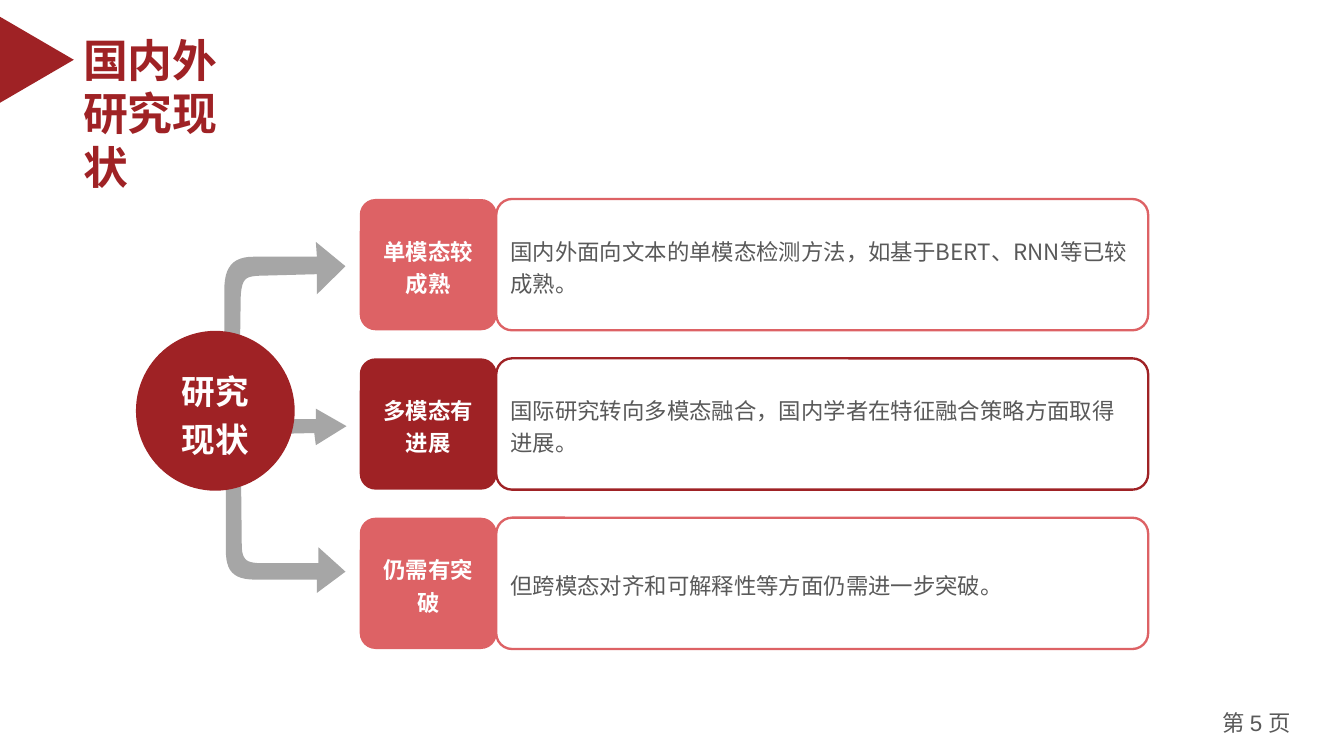
"""Build the slide on the state of research at home and abroad."""
from dataclasses import dataclass

from lxml import etree
from pptx import Presentation
from pptx import util as u
from pptx.dml.color import RGBColor
from pptx.enum import shapes, text
from pptx.oxml.ns import qn


@dataclass(frozen=True)
class Theme:
    """Colours, fonts and type sizes."""
    dark: str = "9F2225"
    light: str = "DD6265"
    gray: str = "A6A6A6"
    ink: str = "595959"
    white: str = "FFFFFF"
    latin: str = "Arial"
    hans: str = "Noto Sans CJK SC"
    head: int = 24
    hub: int = 18
    body: int = 12


T = Theme()
KIND = shapes.MSO_SHAPE
ALIGN = text.PP_ALIGN

CARDS = [
    ("单模态较成熟", "国内外面向文本的单模态检测方法，如基于BERT、RNN等已较成熟。", T.light),
    ("多模态有进展", "国际研究转向多模态融合，国内学者在特征融合策略方面取得进展。", T.dark),
    ("仍需有突破", "但跨模态对齐和可解释性等方面仍需进一步突破。", T.light),
]

ARROWS = [
    [(4.55, 8.41), (4.57, 10.29), (4.57, 10.62, 4.7, 10.62, 4.9, 10.64),
     (6.02, 10.64), (6.02, 10.34), (6.53, 10.8), (5.99, 11.2), (5.99, 10.95),
     (4.83, 10.95), (4.39, 10.95, 4.27, 10.77, 4.27, 10.39), (4.27, 8.36),
     (4.29, 8.03, 4.47, 8.05, 4.55, 8.41)],
    [(3.84, 8.23), (5.94, 8.18), (5.97, 8.41), (6.55, 8.05), (5.97, 7.72),
     (5.97, 7.92), (3.84, 7.92)],
    [(4.52, 7.8), (4.55, 5.61), (4.57, 5.23, 4.67, 5.23, 4.88, 5.21),
     (5.99, 5.18), (5.99, 5.56), (6.53, 5.03), (5.97, 4.57), (5.99, 4.85),
     (4.8, 4.85), (4.39, 4.85, 4.24, 5.05, 4.24, 5.49), (4.24, 7.85),
     (4.29, 8.23, 4.47, 8.2, 4.52, 7.8)],
]


def place(box):
    """Turn numbers in centimetres into lengths."""
    return [u.Cm(side) for side in box]


def style(para, size, color, bold=False, name=T.hans, align=ALIGN.LEFT, space=1.2):
    """Set the type and layout of a paragraph."""
    font = para.font
    font.size, font.bold, font.name = u.Pt(size), bold, name
    font.color.rgb = RGBColor.from_string(color)
    para.alignment, para.line_spacing = align, space
    base = para._p.pPr.find(qn("a:defRPr"))
    etree.SubElement(base, qn("a:ea"), typeface=T.hans)


def paint(shape, fill=None, line=None):
    """Set the fill and outline of a shape."""
    shape.shadow.inherit = False
    if fill:
        shape.fill.solid()
        shape.fill.fore_color.rgb = RGBColor.from_string(fill)
    else:
        shape.fill.background()
    if line:
        shape.line.color.rgb = RGBColor.from_string(line)
        shape.line.width = u.Pt(1.25)
    else:
        shape.line.fill.background()


def frame(shape, side, top, anchor):
    """Set the margins and anchor of a shape and return its text frame."""
    area = shape.text_frame
    area.word_wrap, area.vertical_anchor = True, anchor
    area.auto_size = text.MSO_AUTO_SIZE.NONE
    area.margin_left = area.margin_right = u.Cm(side)
    area.margin_top = area.margin_bottom = u.Cm(top)
    return area


def add_block(slide, kind, box, words, fill=None, line=None, round_by=None, **look):
    """Add a shape with one paragraph at middle height."""
    shape = slide.shapes.add_shape(kind, *place(box))
    if round_by:
        shape.adjustments[0] = round_by
    paint(shape, fill, line)
    area = frame(shape, 0.18, 0.08, text.MSO_ANCHOR.MIDDLE)
    area.text = words
    style(area.paragraphs[0], **look)


def add_title(slide, words):
    """Place the title beside its marker."""
    mark = slide.shapes.add_shape(KIND.ISOSCELES_TRIANGLE, *place((-0.12, 0.43, 1.63, 1.4)))
    mark.rotation = 90
    paint(mark, T.dark)
    title = slide.shapes.title
    title.left, title.top, title.width, title.height = place((1.32, 0.48, 3.15, 1.27))
    area = frame(title, 0.25, 0.13, text.MSO_ANCHOR.TOP)
    area.text = words
    para = area.paragraphs[0]
    para.space_before = u.Pt(0)
    style(para, T.head, T.dark, True, T.latin, space=1.0)


def trace(steps):
    """Turn points and cubic curves into a list of points."""
    points = [steps[0]]
    for step in steps[1:]:
        if len(step) == 2:
            points.append(step)
            continue
        knots = [points[-1], step[:2], step[2:4], step[4:]]
        for part in range(1, 13):
            t = part / 12
            mix = ((1 - t) ** 3, 3 * t * (1 - t) ** 2, 3 * t * t * (1 - t), t ** 3)
            points.append(tuple(sum(m * k[axis] for m, k in zip(mix, knots))
                                for axis in (0, 1)))
    return points


def add_arrow(slide, steps):
    """Draw one block arrow from its outline."""
    first, *rest = [place(point) for point in trace(steps)]
    pen = slide.shapes.build_freeform(*first)
    pen.add_line_segments(rest, close=True)
    paint(pen.convert_to_shape(), T.gray)


def add_card(slide, row, label, words, color):
    """Add a label and its outlined statement."""
    top, high = 3.76 + 3.01 * row, 2.48
    add_block(slide, KIND.ROUNDED_RECTANGLE, (9.38, top, 12.32, high), words,
              line=color, round_by=0.12, size=T.body, color=T.ink)
    add_block(slide, KIND.ROUNDED_RECTANGLE, (6.8, top, 2.59, high), label,
              fill=color, round_by=0.12, size=T.body, color=T.white,
              bold=True, align=ALIGN.CENTER)


def add_page(slide):
    """Add the page number."""
    box = slide.shapes.add_textbox(*place((22.6, 13.29, 2.3, 0.76)))
    para = frame(box, 0.18, 0.1, text.MSO_ANCHOR.TOP).paragraphs[0]
    style(para, T.body, T.ink, align=ALIGN.CENTER, space=1.0)
    for words, name in (("第 ", T.hans), ("5 ", T.latin), ("页", T.hans)):
        run = para.add_run()
        run.text, run.font.name = words, name


def main():
    """Build and save the deck."""
    deck = Presentation()
    deck.slide_width, deck.slide_height = u.Cm(25.4), u.Cm(14.28)
    slide = deck.slides.add_slide(deck.slide_layouts[5])
    add_page(slide)
    add_title(slide, "国内外研究现状")
    for steps in ARROWS:
        add_arrow(slide, steps)
    for row, card in enumerate(CARDS):
        add_card(slide, row, *card)
    add_block(slide, KIND.OVAL, (2.57, 6.25, 3, 3.02), "研究现状", fill=T.dark,
              size=T.hub, color=T.white, bold=True, name=T.latin, align=ALIGN.CENTER)
    deck.save("out.pptx")


if __name__ == "__main__":
    main()
